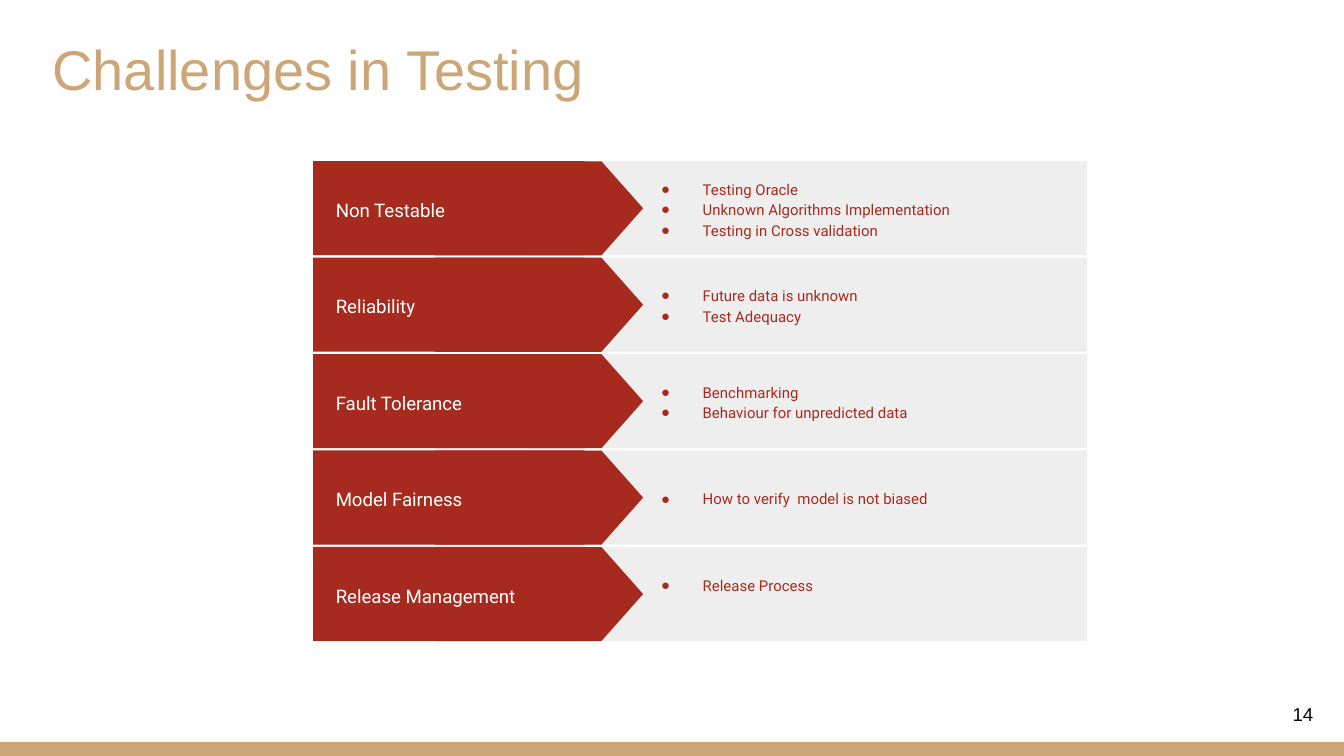
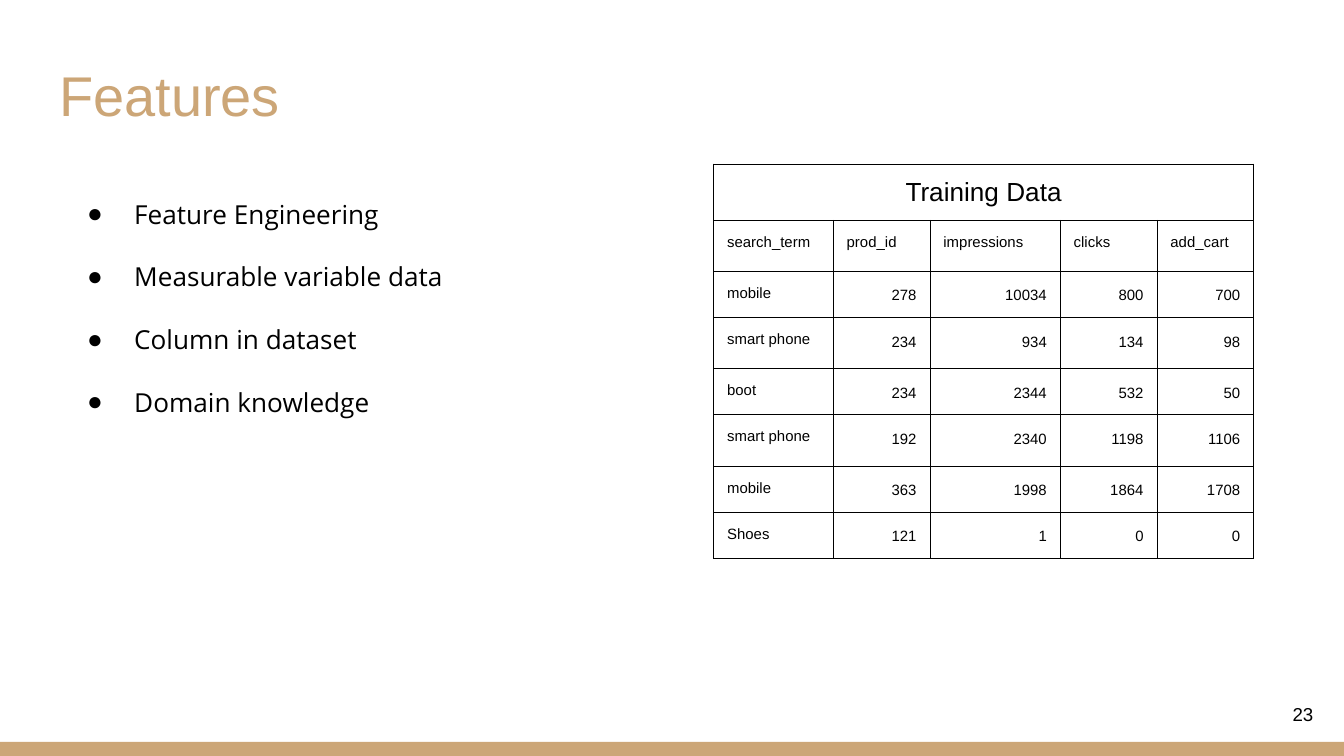
from lxml.etree import SubElement
from pptx import Presentation
from pptx.dml.color import RGBColor
from pptx.enum.shapes import MSO_SHAPE
from pptx.enum.text import MSO_ANCHOR, MSO_AUTO_SIZE, PP_ALIGN
from pptx.oxml.ns import qn
from pptx.util import Inches, Pt

GOLD = RGBColor(0xCC, 0xA6, 0x77)
RED = RGBColor(0xA7, 0x2A, 0x1E)
GREY = RGBColor(0xEE, 0xEE, 0xEE)
WHITE = RGBColor(0xFF, 0xFF, 0xFF)
BLACK = RGBColor(0x00, 0x00, 0x00)

INSET = 0.1
TITLE_ONLY = 5

CHALLENGES = [
    ("Non Testable", ["Testing Oracle", "Unknown Algorithms Implementation",
                      "Testing in Cross validation"], INSET),
    ("Reliability", ["Future data is unknown", "Test Adequacy"], INSET),
    ("Fault Tolerance", ["Benchmarking", "Behaviour for unpredicted data"], INSET),
    ("Model Fairness", ["How to verify  model is not biased"], INSET),
    ("Release Management", ["Release Process"], 0.25),
]

FEATURES = ["Feature Engineering", "Measurable variable data",
            "Column in dataset", "Domain knowledge"]

COLUMN_WIDTHS = [0.89, 0.72, 0.97, 0.72, 0.72]
ROW_HEIGHTS = [0.25, 0.38, 0.27, 0.38, 0.27, 0.38, 0.27, 0.27]
TRAINING_ROWS = [
    ("search_term", "prod_id", "impressions", "clicks", "add_cart"),
    ("mobile", 278, 10034, 800, 700),
    ("smart phone", 234, 934, 134, 98),
    ("boot", 234, 2344, 532, 50),
    ("smart phone", 192, 2340, 1198, 1106),
    ("mobile", 363, 1998, 1864, 1708),
    ("Shoes", 121, 1, 0, 0),
]


def add_bullet(para, color, hanging):
    properties = para._p.get_or_add_pPr()
    properties.set("marL", str(Inches(0.5)))
    properties.set("indent", str(-Inches(hanging)))
    bullet_color = SubElement(properties, qn("a:buClr"))
    SubElement(bullet_color, qn("a:srgbClr"), val=str(color))
    SubElement(properties, qn("a:buFont"), typeface="Arial")
    SubElement(properties, qn("a:buChar"), char="●")


def write_text(frame, lines, size=10, font="Arial", color=BLACK, align=PP_ALIGN.LEFT,
               spacing=None, hanging=None):
    for index, line in enumerate(lines):
        para = frame.paragraphs[0] if index == 0 else frame.add_paragraph()
        para.alignment = align
        if spacing:
            para.line_spacing = spacing
        if hanging:
            add_bullet(para, color, hanging)
        span = para.add_run()
        span.text = line
        span.font.size = Pt(size)
        span.font.name = font
        span.font.color.rgb = color


def set_frame(frame, anchor, top=INSET, bottom=INSET):
    frame.word_wrap = True
    frame.auto_size = MSO_AUTO_SIZE.NONE
    frame.vertical_anchor = anchor
    frame.margin_left = frame.margin_right = Inches(INSET)
    frame.margin_top = Inches(top)
    frame.margin_bottom = Inches(bottom)


def add_text(page, place, lines, anchor=MSO_ANCHOR.MIDDLE, top=INSET, bottom=INSET, **style):
    box = page.shapes.add_textbox(*map(Inches, place))
    set_frame(box.text_frame, anchor, top, bottom)
    write_text(box.text_frame, lines, **style)


def add_block(page, place, color, kind=MSO_SHAPE.RECTANGLE, rotation=0):
    block = page.shapes.add_shape(kind, *map(Inches, place))
    block.shadow.inherit = False
    block.fill.solid()
    block.fill.fore_color.rgb = color
    block.line.fill.background()
    block.rotation = rotation


def add_page(deck, title, title_place, number):
    page = deck.slides.add_slide(deck.slide_layouts[TITLE_ONLY])
    page.background.fill.solid()
    page.background.fill.fore_color.rgb = WHITE
    add_block(page, (0, 5.52, 10, 0.11), GOLD)
    heading = page.shapes.title
    heading.left, heading.top, heading.width, heading.height = map(Inches, title_place)
    set_frame(heading.text_frame, MSO_ANCHOR.BOTTOM)
    write_text(heading.text_frame, [title], size=30, color=GOLD)
    add_text(page, (9.27, 5.1, 0.6, 0.43), [number], align=PP_ALIGN.RIGHT)
    return page


def add_challenge(page, left, top, height, name, points, bottom):
    arrow_length = 1.55
    add_block(page, (left + 1.58, top, 4.18, height), GREY)
    add_block(page, (left, top, 2.02, height), RED)
    add_block(page, (left + 1.33, top + (height - arrow_length) / 2, height, arrow_length),
              RED, MSO_SHAPE.FLOWCHART_OFFPAGE_CONNECTOR, 270)
    add_text(page, (left + 0.07, top + 0.08, 2.12, 0.54), [name],
             font="Roboto", color=WHITE, spacing=1.15)
    add_text(page, (left + 2.3, top, 3.25, height), points, bottom=bottom,
             size=8, font="Roboto", color=RED, spacing=1.15, hanging=0.31)


def add_challenges(page, left, top, height):
    row_height = 0.7
    pitch = (height - row_height) / (len(CHALLENGES) - 1)
    for index, (name, points, bottom) in enumerate(CHALLENGES):
        add_challenge(page, left, top + index * pitch, row_height, name, points, bottom)


def format_cell(cell, text, **style):
    cell.margin_left = cell.margin_right = Inches(INSET)
    cell.margin_top = cell.margin_bottom = Inches(INSET)
    write_text(cell.text_frame, [text], **style)


def outline_cell(cell):
    properties = cell._tc.get_or_add_tcPr()
    for side in ("lnL", "lnR", "lnT", "lnB"):
        line = SubElement(properties, qn(f"a:{side}"), w=str(Pt(0.5)))
        fill = SubElement(line, qn("a:solidFill"))
        SubElement(fill, qn("a:srgbClr"), val=str(BLACK))
    cell.fill.background()


def add_training_table(page, left, top):
    place = (left, top, sum(COLUMN_WIDTHS), sum(ROW_HEIGHTS))
    table = page.shapes.add_table(len(ROW_HEIGHTS), len(COLUMN_WIDTHS),
                                  *map(Inches, place)).table
    table.first_row = table.horz_banding = False
    for column, width in zip(table.columns, COLUMN_WIDTHS):
        column.width = Inches(width)
    for row, height in zip(table.rows, ROW_HEIGHTS):
        row.height = Inches(height)
    for cell in (cell for row in table.rows for cell in row.cells):
        outline_cell(cell)
    table.cell(0, 0).merge(table.cell(0, len(COLUMN_WIDTHS) - 1))
    format_cell(table.cell(0, 0), "Training Data", size=14, align=PP_ALIGN.CENTER)
    for row_index, values in enumerate(TRAINING_ROWS, start=1):
        for column_index, value in enumerate(values):
            style = {}
            if isinstance(value, int):
                style = {"align": PP_ALIGN.RIGHT, "spacing": 1.15}
            format_cell(table.cell(row_index, column_index), str(value), size=8, **style)


def build_challenges_page(deck):
    page = add_page(deck, "Challenges in Testing", (0.29, 0.37, 7.74, 0.49), "14")
    add_challenges(page, 2.33, 1.2, 3.57)


def build_features_page(deck):
    page = add_page(deck, "Features", (0.34, 0.14, 9.32, 0.91), "23")
    add_training_table(page, 5.31, 1.22)
    add_text(page, (0.4, 0.91, 3.55, 3.54), FEATURES, anchor=MSO_ANCHOR.TOP, top=0.33,
             size=14, font="Open Sans", spacing=2.0, hanging=0.35)


def main():
    deck = Presentation()
    deck.slide_width = Inches(10)
    deck.slide_height = deck.slide_width * 9 // 16
    build_challenges_page(deck)
    build_features_page(deck)
    deck.save("out.pptx")


if __name__ == "__main__":
    main()
